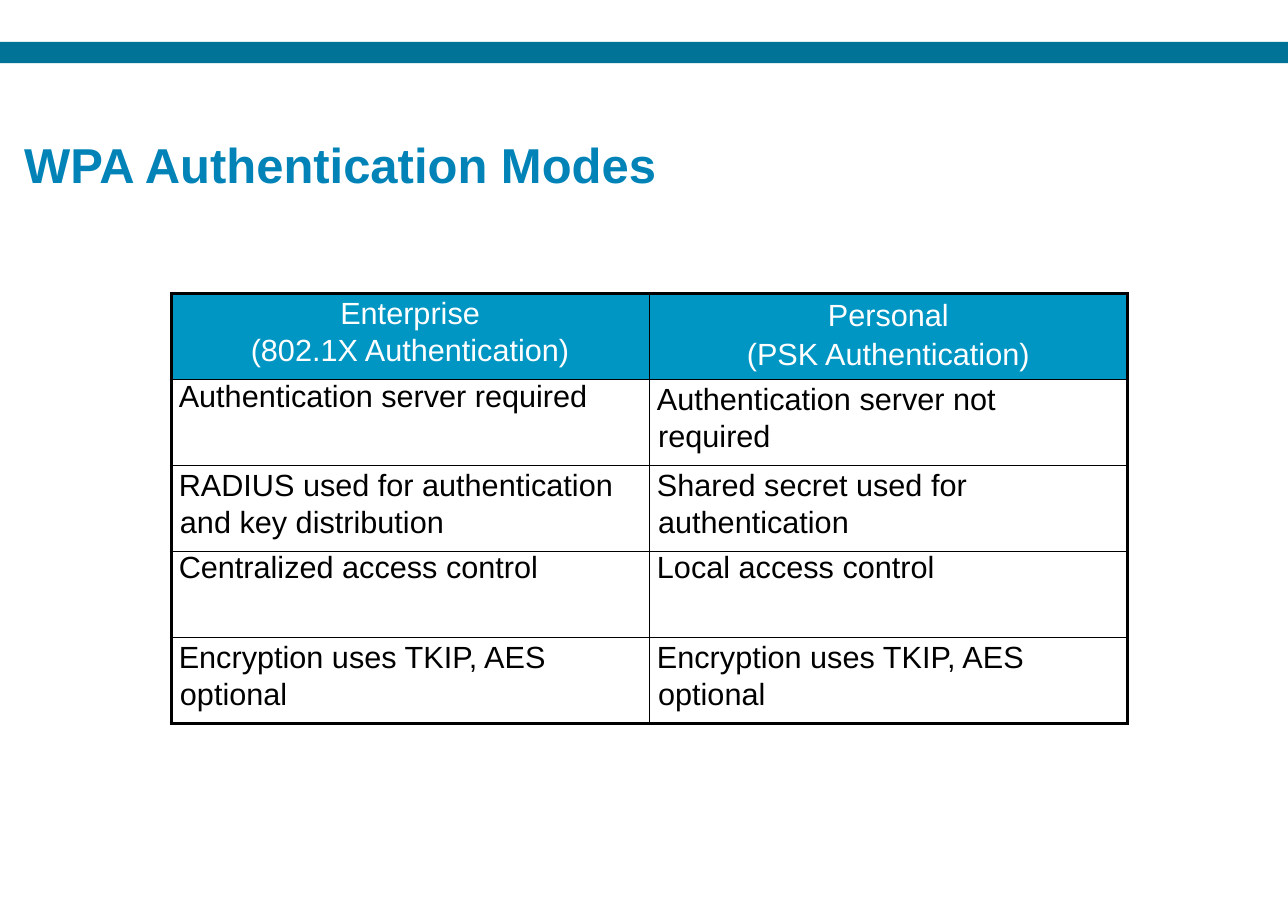
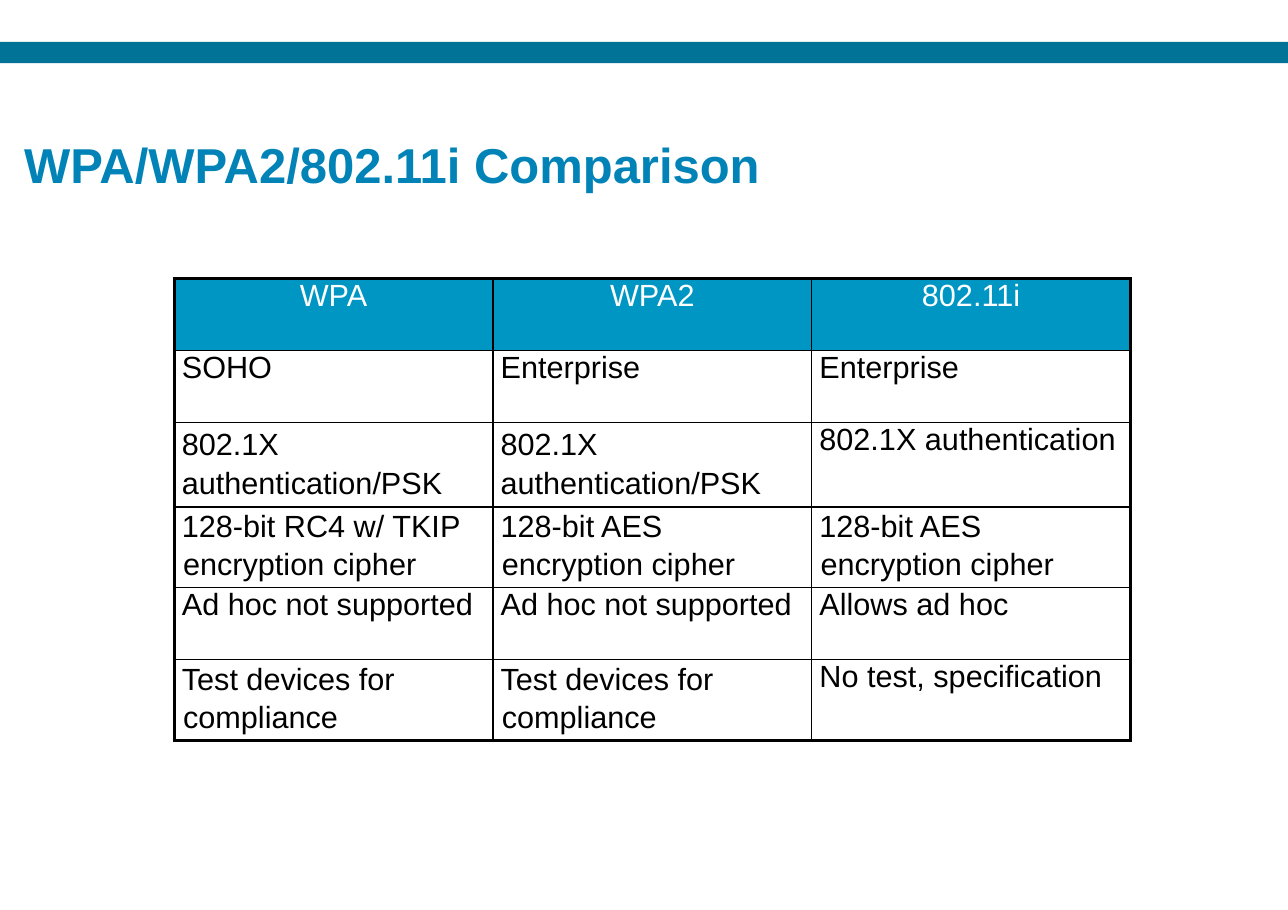
from pptx import Presentation
from pptx.dml.color import RGBColor
from pptx.enum.shapes import MSO_SHAPE as Shape
from pptx.enum.text import PP_ALIGN as Align
from pptx.oxml import parse_xml
from pptx.oxml.ns import nsdecls
from pptx.util import Pt

BAND = RGBColor(0x00, 0x73, 0x97)
TITLE = RGBColor(0x01, 0x83, 0xB7)
HEADER = RGBColor(0x00, 0x96, 0xC4)
WHITE = RGBColor(0xFF, 0xFF, 0xFF)
BLACK = RGBColor(0x00, 0x00, 0x00)

FONT = "Arial"
SLIDE_W, SLIDE_H = 841.7, 594.7
TABLE_W = 625
OUTER, INNER = 2.25, 1
WRAPPED, STACKED = 1.1, 1.15

MODES = [
    [("Enterprise\n(802.1X Authentication)", WRAPPED),
     ("Personal\n(PSK Authentication)", STACKED)],
    ["Authentication server required",
     ("Authentication server not required", WRAPPED)],
    [("RADIUS used for authentication and key distribution", WRAPPED),
     ("Shared secret used for authentication", WRAPPED)],
    ["Centralized access control", "Local access control"],
    [("Encryption uses TKIP, AES optional", WRAPPED)] * 2,
]

COMPARISON = [
    ["WPA", "WPA2", "802.11i"],
    ["SOHO", "Enterprise", "Enterprise"],
    [("802.1X\nauthentication/PSK", STACKED)] * 2 + ["802.1X authentication"],
    [("128-bit RC4 w/ TKIP encryption cipher", WRAPPED)]
    + [("128-bit AES encryption cipher", WRAPPED)] * 2,
    ["Ad hoc not supported", "Ad hoc not supported", "Allows ad hoc"],
    [("Test devices for compliance", WRAPPED)] * 2 + ["No test, specification"],
]


def write(tf, text, size=20, color=BLACK, bold=False, align=Align.LEFT,
          spacing=1.0, left=0, hang=0):
    """Fill a text frame with formatted paragraphs."""
    tf.word_wrap = True
    tf.text = text
    for p in tf.paragraphs:
        p.alignment = align
        if spacing != 1:
            p.line_spacing = spacing
        pPr = p._p.get_or_add_pPr()
        pPr.set("marL", str(Pt(left)))
        pPr.set("indent", str(Pt(-hang)))
        for r in p.runs:
            font = r.font
            font.name, font.size, font.bold = FONT, Pt(size), bold
            font.color.rgb = color


def set_borders(cell, **widths):
    """Draw black cell borders of the given widths, keyed L, R, T, B."""
    tcPr = cell._tc.get_or_add_tcPr()
    for side, width in widths.items():
        tcPr.append(parse_xml(
            f'<a:ln{side} {nsdecls("a")} w="{Pt(width)}">'
            f'<a:solidFill><a:srgbClr val="{BLACK}"/></a:solidFill>'
            f'</a:ln{side}>'))


def add_table(s, left, top, heights, rows, wrap_margin):
    """Place a table with equal columns, a filled header and a heavy frame."""
    n_rows, n_cols = len(rows), len(rows[0])
    table = s.shapes.add_table(n_rows, n_cols, Pt(left), Pt(top),
                               Pt(TABLE_W), Pt(sum(heights))).table
    table.first_row = table.horz_banding = False
    for column in table.columns:
        column.width = Pt(TABLE_W / n_cols)
    for i, (height, entries) in enumerate(zip(heights, rows)):
        table.rows[i].height = Pt(height)
        for j, entry in enumerate(entries):
            text, spacing = (entry, 1.0) if isinstance(entry, str) else entry
            cell = table.cell(i, j)
            cell.margin_left = cell.margin_top = cell.margin_bottom = 0
            cell.margin_right = Pt(wrap_margin if i else 0)
            set_borders(cell,
                        L=INNER if j else OUTER,
                        R=INNER if j < n_cols - 1 else OUTER,
                        T=INNER if i else OUTER,
                        B=INNER if i < n_rows - 1 else OUTER)
            if i:
                cell.fill.background()
                write(cell.text_frame, text, spacing=spacing, left=5.8, hang=0.8)
            else:
                cell.fill.solid()
                cell.fill.fore_color.rgb = HEADER
                write(cell.text_frame, text, color=WHITE, align=Align.CENTER,
                      spacing=spacing)


def add_slide(prs, title):
    """Add a blank slide with the shared band and title."""
    s = prs.slides.add_slide(prs.slide_layouts[6])
    band = s.shapes.add_shape(Shape.RECTANGLE, 0, Pt(27.4), Pt(SLIDE_W), Pt(13.8))
    band.shadow.inherit = False
    band.fill.solid()
    band.fill.fore_color.rgb = BAND
    band.line.fill.background()
    tf = s.shapes.add_textbox(Pt(15.1), Pt(58.3), Pt(810.7), Pt(67)).text_frame
    tf.margin_left = tf.margin_right = tf.margin_bottom = 0
    tf.margin_top = Pt(29.5)
    write(tf, title, size=32, color=TITLE, bold=True, left=0.7)
    return s


def main():
    """Build and save the presentation."""
    prs = Presentation()
    prs.slide_width, prs.slide_height = Pt(SLIDE_W), Pt(SLIDE_H)
    s = add_slide(prs, "WPA Authentication Modes")
    add_table(s, 111.8, 191.7, [56.2] * 5, MODES, wrap_margin=12)
    s = add_slide(prs, "WPA/WPA2/802.11i Comparison")
    add_table(s, 113.8, 182, [47, 47, 51.8, 51.8, 47, 51.8], COMPARISON,
              wrap_margin=6)
    prs.save("out.pptx")


if __name__ == "__main__":
    main()
